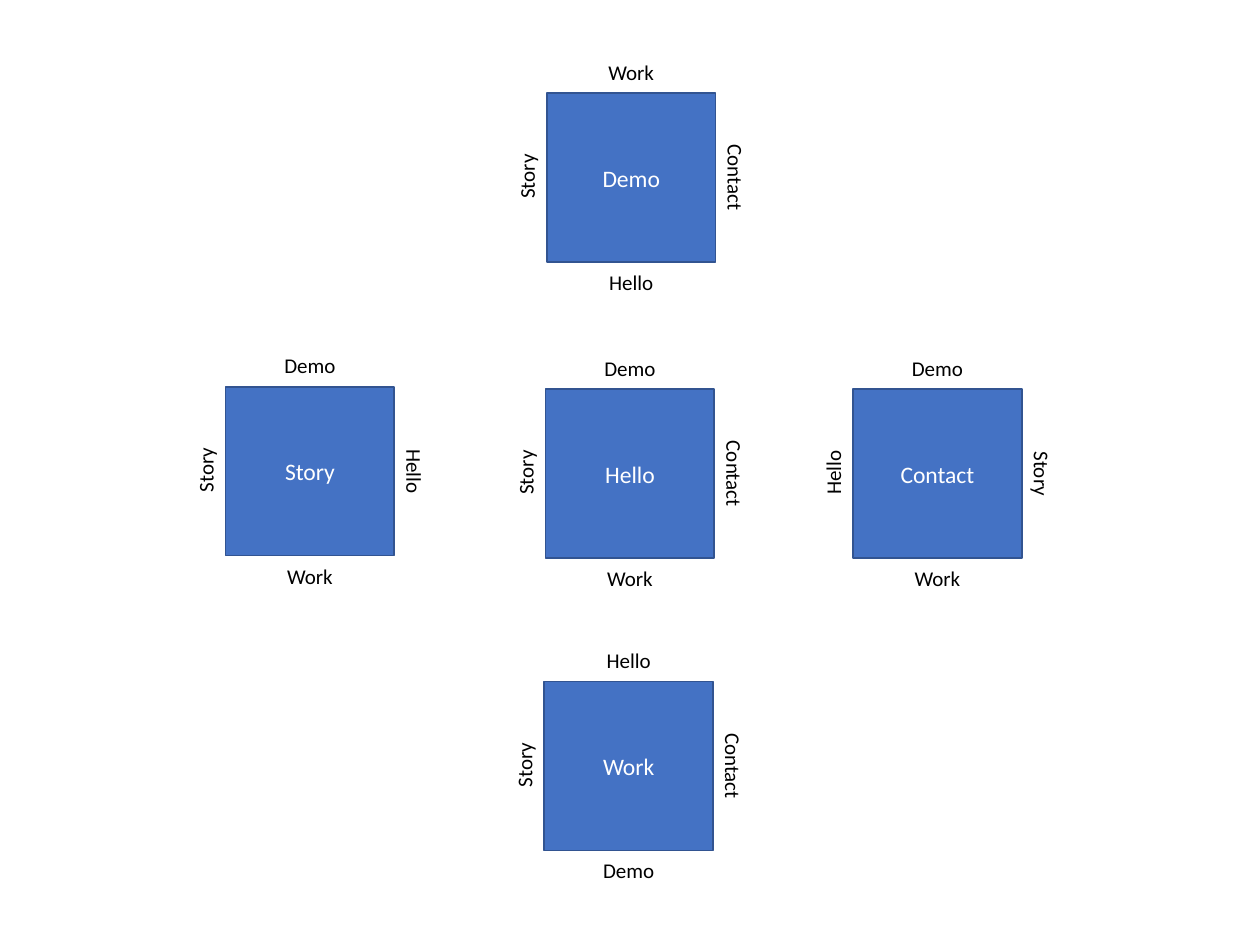
"""Build a cross of five page tiles, each edged with the names of its neighbours."""
from pptx import Presentation
from pptx.dml.color import RGBColor
from pptx.enum.shapes import MSO_SHAPE
from pptx.enum.text import MSO_ANCHOR, MSO_AUTO_SIZE, PP_ALIGN
from pptx.util import Inches, Pt

COLOURS = {"tile": "4472C4", "edge": "325491", "title": "FFFFFF", "label": "000000"}
FONT = "Calibri"
SIDE, LABEL_HEIGHT = 1.34, 0.3

# title, left, top, neighbours in the order of EDGES
TILES = [
    ("Hello", 4.33, 3.09, ("Demo", "Work", "Contact", "Story")),
    ("Contact", 6.77, 3.09, ("Demo", "Work", "Story", "Hello")),
    ("Story", 1.79, 3.07, ("Demo", "Work", "Hello", "Story")),
    ("Demo", 4.34, 0.74, ("Work", "Hello", "Contact", "Story")),
    ("Work", 4.32, 5.41, ("Hello", "Demo", "Contact", "Story")),
]
# horizontal offset, vertical offset, rotation: top, bottom, right, left
EDGES = [(0, -0.32, 0), (0, 1.35, 0), (0.83, 0.52, 90), (-0.83, 0.51, 270)]


def colour(part):
    return RGBColor.from_string(COLOURS[part])


def write(frame, words, size, part):
    paragraph = frame.paragraphs[0]
    paragraph.text = words
    paragraph.alignment = PP_ALIGN.CENTER
    paragraph.font.name = FONT
    paragraph.font.size = Pt(size)
    paragraph.font.color.rgb = colour(part)


def add_tile(slide, title, left, top):
    tile = slide.shapes.add_shape(
        MSO_SHAPE.RECTANGLE, Inches(left), Inches(top), Inches(SIDE), Inches(SIDE))
    tile.shadow.inherit = False
    tile.fill.solid()
    tile.fill.fore_color.rgb = colour("tile")
    tile.line.color.rgb = colour("edge")
    tile.line.width = Pt(1)
    frame = tile.text_frame
    frame.vertical_anchor = MSO_ANCHOR.MIDDLE
    frame.margin_left = frame.margin_right = Inches(0.07)
    frame.margin_top = frame.margin_bottom = Inches(0.04)
    write(frame, title, 13.5, "title")


def add_label(slide, neighbour, left, top, rotation):
    label = slide.shapes.add_textbox(
        Inches(left), Inches(top), Inches(SIDE), Inches(LABEL_HEIGHT))
    label.rotation = rotation
    label.text_frame.word_wrap = True
    label.text_frame.auto_size = MSO_AUTO_SIZE.SHAPE_TO_FIT_TEXT
    write(label.text_frame, neighbour, 12, "label")


def main():
    deck = Presentation()
    deck.slide_width, deck.slide_height = Inches(10), Inches(7.5)
    slide = deck.slides.add_slide(deck.slide_layouts[6])
    for title, left, top, neighbours in TILES:
        add_tile(slide, title, left, top)
        for neighbour, (across, down, rotation) in zip(neighbours, EDGES):
            add_label(slide, neighbour, left + across, top + down, rotation)
    deck.save("out.pptx")


if __name__ == "__main__":
    main()
